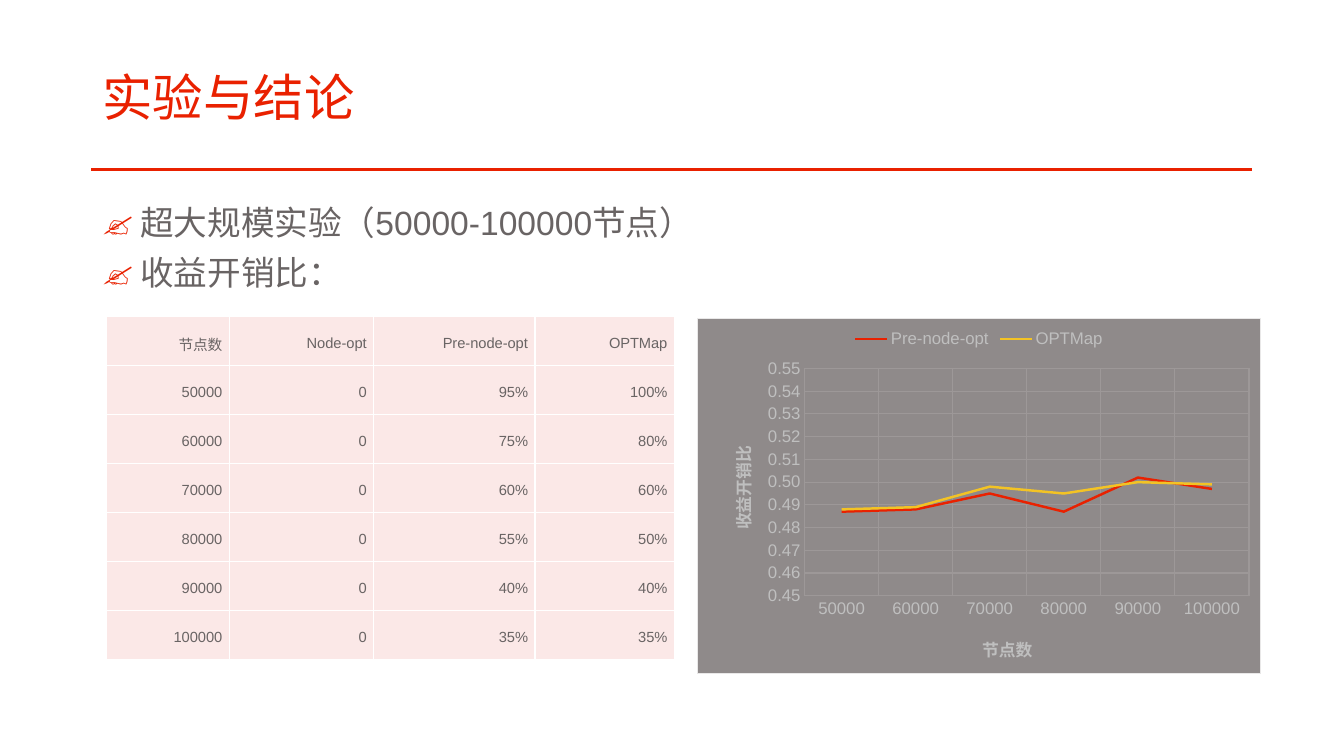
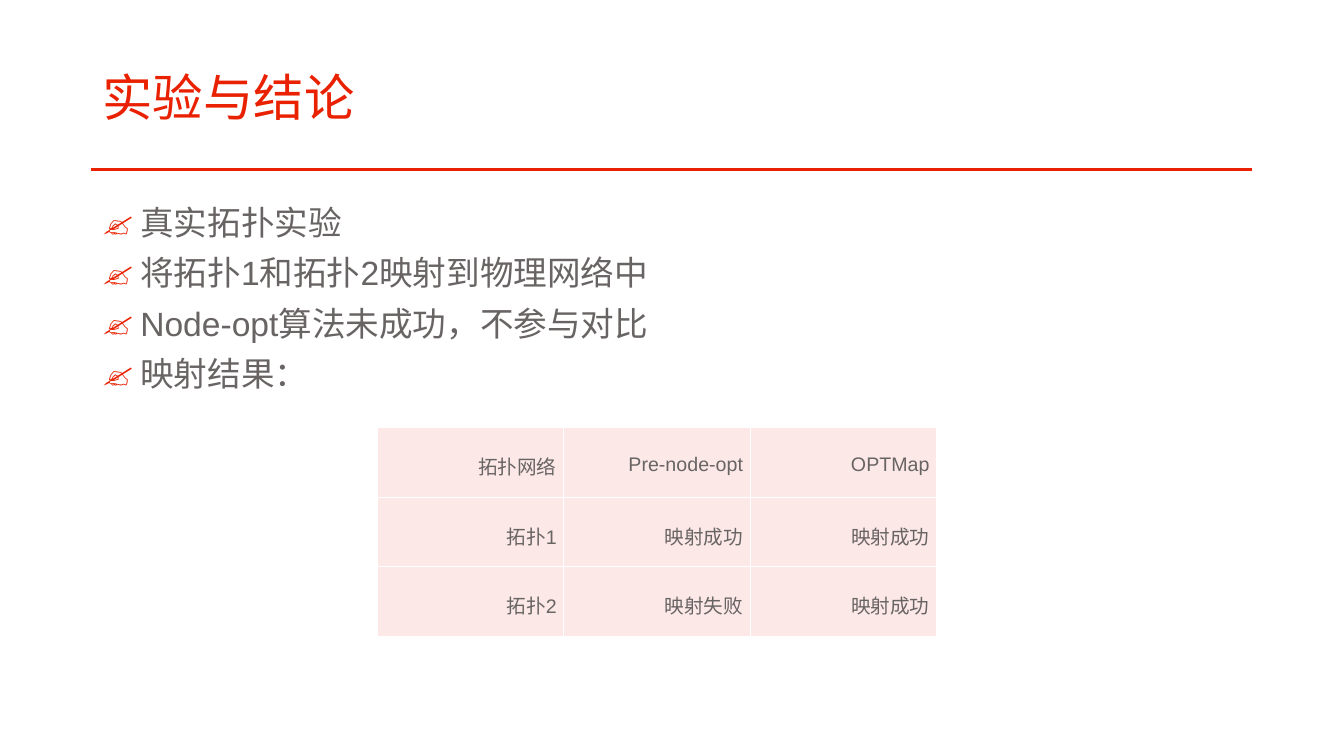
from lxml import etree
from pptx import Presentation
from pptx.chart.data import CategoryChartData
from pptx.dml.color import RGBColor
from pptx.enum.chart import XL_CHART_TYPE, XL_LEGEND_POSITION, XL_TICK_MARK
from pptx.enum.shapes import MSO_CONNECTOR
from pptx.enum.text import MSO_ANCHOR, MSO_AUTO_SIZE, PP_ALIGN
from pptx.oxml import parse_xml
from pptx.oxml.ns import nsdecls, qn
from pptx.util import Emu, Pt

LINE_CHART = XL_CHART_TYPE.LINE
LEGEND_TOP = XL_LEGEND_POSITION.TOP
NO_TICK = XL_TICK_MARK.NONE
STRAIGHT = MSO_CONNECTOR.STRAIGHT
MIDDLE, TOP = MSO_ANCHOR.MIDDLE, MSO_ANCHOR.TOP
NO_AUTOFIT = MSO_AUTO_SIZE.NONE
LEFT, RIGHT = PP_ALIGN.LEFT, PP_ALIGN.RIGHT

# Grid of the slide: 160 columns by 90 rows of square cells
COLUMNS, ROWS, CELL = 160, 90, 76200


def grid(*cells):
    return [Emu(round(count * CELL)) for count in cells]


def color(hex_value):
    return RGBColor.from_string(hex_value)


def apply(target, values):
    for name, value in values.items():
        setattr(target, name, value)


class Deck:
    FONT = "Arial"
    RED, YELLOW, TEXT = "E92100", "F3C324", "696464"
    CELL_FILL, CELL_BORDER = "FBE8E7", "FFFFFF"
    PANEL, PANEL_BORDER, GRIDLINE, LABEL = "8F8A8A", "E9E8E8", "9D9898", "BFBFBF"

    TITLE_BOX = (11, 5.4, 138, 13)
    BODY_BOX = (11, 24, 138, 61.4)
    RULE = (149, 20.2, 10.8, 20.2)
    TITLE_PARAGRAPH = {"alignment": LEFT, "line_spacing": 0.9}
    BODY_PARAGRAPH = {"line_spacing": 0.9, "space_before": Pt(10),
                      "space_after": Pt(0)}
    CELL_PARAGRAPH = {"alignment": RIGHT, "line_spacing": 1.25,
                      "space_before": Pt(12)}
    CELL_FORMAT = {"vertical_anchor": MIDDLE, "margin_top": 0, "margin_bottom": 0,
                   "margin_left": Pt(5), "margin_right": Pt(5)}

    def __init__(self):
        self.presentation = Presentation()
        apply(self.presentation, dict(zip(("slide_width", "slide_height"),
                                          grid(COLUMNS, ROWS))))
        self.slide = None

    def style_font(self, font, size, hex_value, bold=False):
        apply(font, {"name": self.FONT, "size": Pt(size), "bold": bold})
        font.color.rgb = color(hex_value)

    def style_line(self, line, hex_value, width):
        line.color.rgb = color(hex_value)
        line.width = Pt(width)

    def place(self, placeholder, box, anchor):
        apply(placeholder, dict(zip(("left", "top", "width", "height"), grid(*box))))
        apply(placeholder.text_frame, {"vertical_anchor": anchor, "word_wrap": True,
                                       "auto_size": NO_AUTOFIT})
        return placeholder.text_frame

    def add_slide(self, title, points):
        layout = self.presentation.slide_layouts[1]
        self.slide = self.presentation.slides.add_slide(layout)
        self.rule()
        self.title(title)
        self.bullets(points)

    # Red rule under the title
    def rule(self):
        rule = self.slide.shapes.add_connector(STRAIGHT, *grid(*self.RULE))
        self.style_line(rule.line, self.RED, 1.75)
        etree.SubElement(rule._element.spPr, qn("a:effectLst"))

    def title(self, text):
        frame = self.place(self.slide.shapes.title, self.TITLE_BOX, MIDDLE)
        frame.text = text
        apply(frame.paragraphs[0], self.TITLE_PARAGRAPH)
        self.style_font(frame.paragraphs[0].runs[0].font, 36, self.RED)

    # List with writing-hand bullets
    def bullets(self, points):
        frame = self.place(self.slide.placeholders[1], self.BODY_BOX, TOP)
        frame.text = "\n".join(points)
        for point in frame.paragraphs:
            apply(point, self.BODY_PARAGRAPH)
            self.style_font(point.runs[0].font, 24, self.TEXT)
            properties = point._p.get_or_add_pPr()
            properties.set("marL", "342900")
            properties.set("indent", "-342900")
            bullet_color = etree.SubElement(properties, qn("a:buClr"))
            etree.SubElement(bullet_color, qn("a:srgbClr"), val=self.RED)
            etree.SubElement(properties, qn("a:buFont"), typeface=self.FONT)
            etree.SubElement(properties, qn("a:buChar"), char="✍")

    def table(self, left, top, widths, row_height, size, records):
        box = grid(left, top, sum(widths), row_height * len(records))
        table = self.slide.shapes.add_table(len(records), len(widths), *box).table
        apply(table, {"first_row": False, "horz_banding": False})
        for column, width in zip(table.columns, grid(*widths)):
            column.width = width
        for row, record in zip(table.rows, records):
            row.height = grid(row_height)[0]
            for cell, text in zip(row.cells, record):
                self.cell(cell, text, size)

    def cell(self, cell, text, size):
        cell.text = text
        apply(cell, self.CELL_FORMAT)
        paragraph = cell.text_frame.paragraphs[0]
        apply(paragraph, self.CELL_PARAGRAPH)
        self.style_font(paragraph.runs[0].font, size, self.TEXT)
        properties = cell._tc.get_or_add_tcPr()
        for side in ("lnL", "lnR", "lnT", "lnB"):
            properties.append(parse_xml(
                f'<a:{side} {nsdecls("a")} w="12700"><a:solidFill>'
                f'<a:srgbClr val="{self.CELL_BORDER}"/></a:solidFill></a:{side}>'))
        cell.fill.solid()
        cell.fill.fore_color.rgb = color(self.CELL_FILL)

    # Line chart on a grey panel
    def line_chart(self, box, categories, series, axis_titles, scale):
        data = CategoryChartData()
        data.categories = categories
        for name, values in series.items():
            data.add_series(name, values)
        chart = self.slide.shapes.add_chart(LINE_CHART, *grid(*box), data).chart
        apply(chart, {"has_title": False, "has_legend": True})
        self.style_font(chart.font, 10, self.TEXT)
        apply(chart.legend, {"position": LEGEND_TOP, "include_in_layout": False})
        self.style_font(chart.legend.font, 12, self.LABEL)
        chart.plots[0].vary_by_categories = False
        for line, hex_value in zip(chart.plots[0].series, (self.RED, self.YELLOW)):
            line.smooth = False
            self.style_line(line.format.line, hex_value, 1.75)
        category_title, value_title = axis_titles
        self.axis(chart.category_axis, category_title, (0.5, 0.88), 0)
        self.axis(chart.value_axis, value_title, (0.05, 0.35), -90)
        apply(chart.value_axis, scale)
        apply(chart.value_axis.tick_labels, {"number_format": "0.00",
                                             "number_format_is_linked": False})
        plot_area = chart._chartSpace.find(".//" + qn("c:plotArea"))
        self.layout(plot_area, 0, (0.19, 0.14, 0.79, 0.64), inner=True)
        self.panel(chart)

    def axis(self, axis, title, position, angle):
        apply(axis, {"has_title": True, "has_major_gridlines": True,
                     "major_tick_mark": NO_TICK, "minor_tick_mark": NO_TICK})
        axis.format.line.fill.background()
        self.style_line(axis.major_gridlines.format.line, self.GRIDLINE, 0.75)
        self.style_font(axis.tick_labels.font, 12, self.LABEL)
        frame = axis.axis_title.text_frame
        frame.text = title
        self.style_font(frame.paragraphs[0].runs[0].font, 12, self.LABEL, bold=True)
        element = axis.axis_title._element
        element.find(".//" + qn("a:bodyPr")).set("rot", str(angle * 60000))
        self.layout(element, 1, position)

    # Position in shares of the chart
    def layout(self, parent, index, shares, inner=False):
        for previous in parent.findall(qn("c:layout")):
            parent.remove(previous)
        target = '<c:layoutTarget val="inner"/>' if inner else ""
        modes = "".join(f'<c:{side}Mode val="edge"/>' for side in "xy")
        lengths = "".join(f'<c:{side} val="{share}"/>'
                          for side, share in zip("xywh", shares))
        parent.insert(index, parse_xml(
            f'<c:layout {nsdecls("c")}><c:manualLayout>{target}{modes}{lengths}'
            '</c:manualLayout></c:layout>'))

    def panel(self, chart):
        chart._chartSpace.find(qn("c:txPr")).addprevious(parse_xml(
            f'<c:spPr {nsdecls("c", "a")}>'
            f'<a:solidFill><a:srgbClr val="{self.PANEL}"/></a:solidFill>'
            f'<a:ln w="9525"><a:solidFill><a:srgbClr val="{self.PANEL_BORDER}"/>'
            '</a:solidFill></a:ln></c:spPr>'))


def main():
    deck = Deck()
    heading = "实验与结论"
    node_counts = ["50000", "60000", "70000", "80000", "90000", "100000"]

    # Very large scale experiment
    deck.add_slide(heading, ["超大规模实验（50000-100000节点）", "收益开销比："])
    pre_node_rates = ["95%", "75%", "60%", "55%", "40%", "35%"]
    optmap_rates = ["100%", "80%", "60%", "50%", "40%", "35%"]
    success_rates = [("节点数", "Node-opt", "Pre-node-opt", "OPTMap")]
    success_rates += [(nodes, "0", pre_node, optmap) for nodes, pre_node, optmap
                      in zip(node_counts, pre_node_rates, optmap_rates)]
    deck.table(12.7, 37.7, (14.6, 17.2, 19.2, 16.6), 5.83, 10.5, success_rates)
    benefit_ratios = {
        "Pre-node-opt": (0.487, 0.488, 0.495, 0.487, 0.502, 0.497),
        "OPTMap": (0.488, 0.489, 0.498, 0.495, 0.5, 0.499),
    }
    deck.line_chart((83, 37.9, 67.1, 42.4), node_counts, benefit_ratios,
                    ("节点数", "收益开销比"),
                    {"minimum_scale": 0.45, "maximum_scale": 0.55,
                     "major_unit": 0.01})

    # Real topology experiment
    deck.add_slide(heading, ["真实拓扑实验", "将拓扑1和拓扑2映射到物理网络中",
                             "Node-opt算法未成功，不参与对比", "映射结果："])
    mapping_results = [("拓扑网络", "Pre-node-opt", "OPTMap"),
                       ("拓扑1", "映射成功", "映射成功"),
                       ("拓扑2", "映射失败", "映射成功")]
    deck.table(44.9, 50.9, (22.2,) * 3, 8.28, 14, mapping_results)

    deck.presentation.save("out.pptx")


if __name__ == "__main__":
    main()
